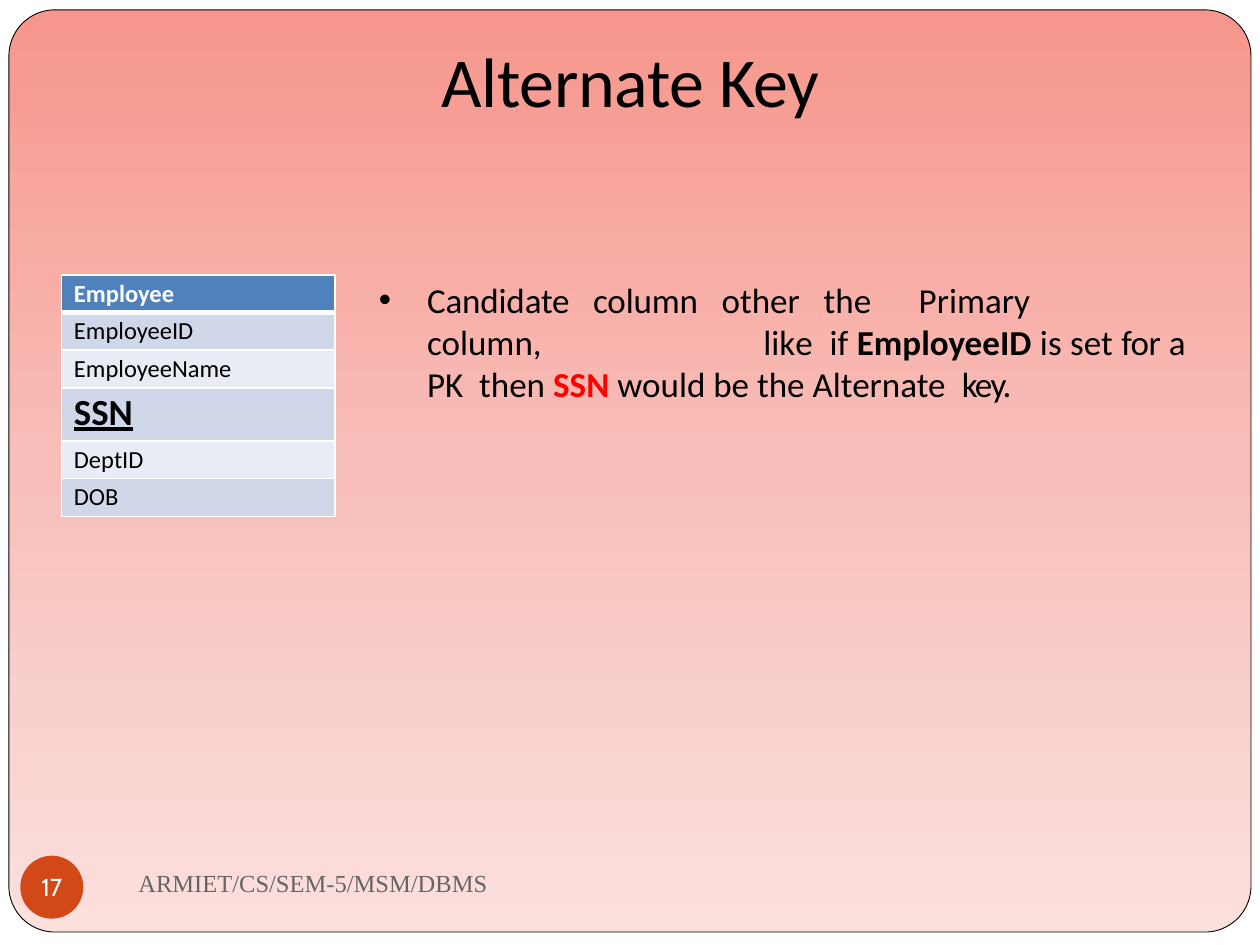
from copy import deepcopy

from lxml.etree import SubElement
from pptx import Presentation
from pptx.dml.color import RGBColor
from pptx.enum.shapes import MSO_SHAPE as Shape
from pptx.enum.text import MSO_ANCHOR as Anchor, PP_ALIGN as Align
from pptx.oxml.ns import qn
from pptx.util import Cm, Pt

WHITE = RGBColor(0xFF, 0xFF, 0xFF)
BLACK = RGBColor(0x00, 0x00, 0x00)
RED = RGBColor(0xFF, 0x00, 0x00)
GRAY = RGBColor(0x69, 0x64, 0x64)
ORANGE = RGBColor(0xD3, 0x48, 0x17)
HEADER_BLUE = RGBColor(0x4F, 0x81, 0xBC)
BAND_DARK = RGBColor(0xD0, 0xD7, 0xE8)
BAND_LIGHT = RGBColor(0xE9, 0xEC, 0xF4)
CORAL_STOPS = [
    (0, RGBColor(0xF7, 0x96, 0x8C)),
    (0.5, RGBColor(0xF8, 0xBF, 0xBA)),
    (1, RGBColor(0xFB, 0xE0, 0xDE)),
]


class SlideBuilder:
    font_name = "Calibri"

    def __init__(self, page):
        self.page = page
        page.background.fill.solid()
        page.background.fill.fore_color.rgb = WHITE

    def style(self, para, size, color=BLACK, name=None, bold=False):
        font = para.font
        font.name, font.size, font.bold = name or self.font_name, Pt(size), bold
        font.color.rgb = color

    def margins(self, frame, top=0):
        frame.margin_left = frame.margin_right = frame.margin_bottom = 0
        frame.margin_top = Cm(top)

    def add_span(self, para, text, spacing=0, bold=None, color=None):
        span = para.add_run()
        span.text = text
        if bold:
            span.font.bold = True
        if color is not None:
            span.font.color.rgb = color
        if spacing:
            span.font._element.set("spc", str(round(spacing * 100)))

    def shape(self, kind, left, top, width, height):
        shape = self.page.shapes.add_shape(
            kind, Cm(left), Cm(top), Cm(width), Cm(height))
        shape.shadow.inherit = False
        return shape

    def panel(self, left, top, width, height):
        panel = self.shape(Shape.ROUNDED_RECTANGLE, left, top, width, height)
        panel.adjustments[0] = 0.05
        panel.line.color.rgb = BLACK
        panel.line.width = Pt(0.5)
        panel.fill.gradient()
        panel.fill.gradient_angle = 270
        stop_list = panel._element.spPr.find(".//" + qn("a:gsLst"))
        stop_list.append(deepcopy(stop_list[-1]))
        for stop, (position, color) in zip(panel.fill.gradient_stops, CORAL_STOPS):
            stop.position = position
            stop.color.rgb = color

    def title(self, spans, left, top, width, height):
        title = self.page.shapes.title
        title.left, title.top = Cm(left), Cm(top)
        title.width, title.height = Cm(width), Cm(height)
        frame = title.text_frame
        frame.vertical_anchor = Anchor.BOTTOM
        self.margins(frame, 0.03)
        para = frame.paragraphs[0]
        para.alignment = Align.CENTER
        para.space_before = Pt(1)
        self.style(para, 40)
        for text, spacing in spans:
            self.add_span(para, text, spacing)

    def text_box(self, left, top, width, height):
        box = self.page.shapes.add_textbox(
            Cm(left), Cm(top), Cm(width), Cm(height))
        box.text_frame.word_wrap = True
        return box.text_frame

    def footer(self, text, left, top, width, height):
        frame = self.text_box(left, top, width, height)
        frame.vertical_anchor = Anchor.MIDDLE
        para = frame.paragraphs[0]
        para.text = text
        self.style(para, 14, GRAY, "Times New Roman")

    def number_badge(self, number, left, top, size):
        badge = self.shape(Shape.OVAL, left, top, size, size)
        badge.fill.solid()
        badge.fill.fore_color.rgb = ORANGE
        badge.line.fill.background()
        frame = badge.text_frame
        frame.word_wrap = False
        frame.vertical_anchor = Anchor.MIDDLE
        self.margins(frame)
        para = frame.paragraphs[0]
        para.text = number
        para.alignment = Align.CENTER
        self.style(para, 14, WHITE, "Cabin")

    def cell_borders(self, cell, top=1, bottom=1):
        properties = cell._tc.get_or_add_tcPr()
        widths = {"a:lnL": 1, "a:lnR": 1, "a:lnT": top, "a:lnB": bottom}
        for index, (tag, width) in enumerate(widths.items()):
            line = SubElement(properties, qn(tag), w=str(Pt(width)))
            fill = SubElement(line, qn("a:solidFill"))
            SubElement(fill, qn("a:srgbClr"), val=str(WHITE))
            properties.insert(index, line)

    def key_table(self, names, key, left, top, width, row_height, key_height):
        heights = [key_height if name == key else row_height for name in names]
        table = self.page.shapes.add_table(
            len(names), 1, Cm(left), Cm(top), Cm(width), Cm(sum(heights))).table
        for index, (name, height) in enumerate(zip(names, heights)):
            table.rows[index].height = Cm(height)
            is_header, is_key = index == 0, name == key
            cell = table.cell(index, 0)
            cell.fill.solid()
            band = BAND_DARK if index % 2 else BAND_LIGHT
            cell.fill.fore_color.rgb = HEADER_BLUE if is_header else band
            self.cell_borders(cell, 3 if index == 1 else 1, 3 if is_header else 1)
            self.margins(cell, 0.05 if is_key else 0.08)
            para = cell.text_frame.paragraphs[0]
            para.text = name
            para.space_before = Pt(1.8 if is_key else 2.4)
            para._p.get_or_add_pPr().set("marL", str(Cm(0.25)))
            self.style(para, 21 if is_key else 14,
                       WHITE if is_header else BLACK, bold=is_header or is_key)
            para.font.underline = is_key

    def bullet(self, spans, tabs, left, top, width, height):
        frame = self.text_box(left, top, width, height)
        self.margins(frame, 0.03)
        para = frame.paragraphs[0]
        para.alignment = Align.JUSTIFY
        para.space_before = Pt(1.1)
        properties = para._p.get_or_add_pPr()
        properties.set("marL", str(Cm(tabs[0])))
        properties.set("indent", str(Cm(-0.97)))
        SubElement(properties, qn("a:buFont"), typeface="Arial")
        SubElement(properties, qn("a:buChar"), char="•")
        tab_list = SubElement(properties, qn("a:tabLst"))
        for position in tabs:
            SubElement(tab_list, qn("a:tab"), pos=str(Cm(position)), algn="l")
        self.style(para, 20)
        for span in spans:
            self.add_span(para, *span)


def main():
    deck = Presentation()
    deck.slide_width, deck.slide_height = Cm(25.4), Cm(19.05)
    builder = SlideBuilder(deck.slides.add_slide(deck.slide_layouts[5]))
    builder.panel(0.18, 0.2, 25.04, 18.59)
    builder.footer("ARMIET/CS/SEM-5/MSM/DBMS", 2.54, 17.15, 11, 1.27)
    builder.number_badge("17", 0.41, 17.25, 1.27)
    builder.title([("Alternate ", -0.2), ("Key", -0.6)], 6.71, 0.69, 11.99, 1.75)
    builder.key_table(
        ["Employee", "EmployeeID", "EmployeeName", "SSN", "DeptID", "DOB"],
        "SSN", 1.24, 5.54, 5.51, 0.76, 1.07)
    builder.bullet(
        [
            ("Candidate column ", -0.1),
            ("other the  Primary\tcolumn,\tli",),
            ("k", -1.1),
            ("e  if ",),
            ("EmployeeID ", 0, True),
            ("is set ",),
            ("for ", -0.3),
            ("a PK  then ",),
            ("SSN ", 0, True, RED),
            ("would be the Alternate  ",),
            ("key.", -0.9),
        ],
        [0.99, 7.77, 14.68], 7.62, 5.59, 16.28, 2.59)
    shapes = builder.page.shapes
    shapes._spTree.append(shapes.title._element)
    deck.save("out.pptx")


if __name__ == "__main__":
    main()
